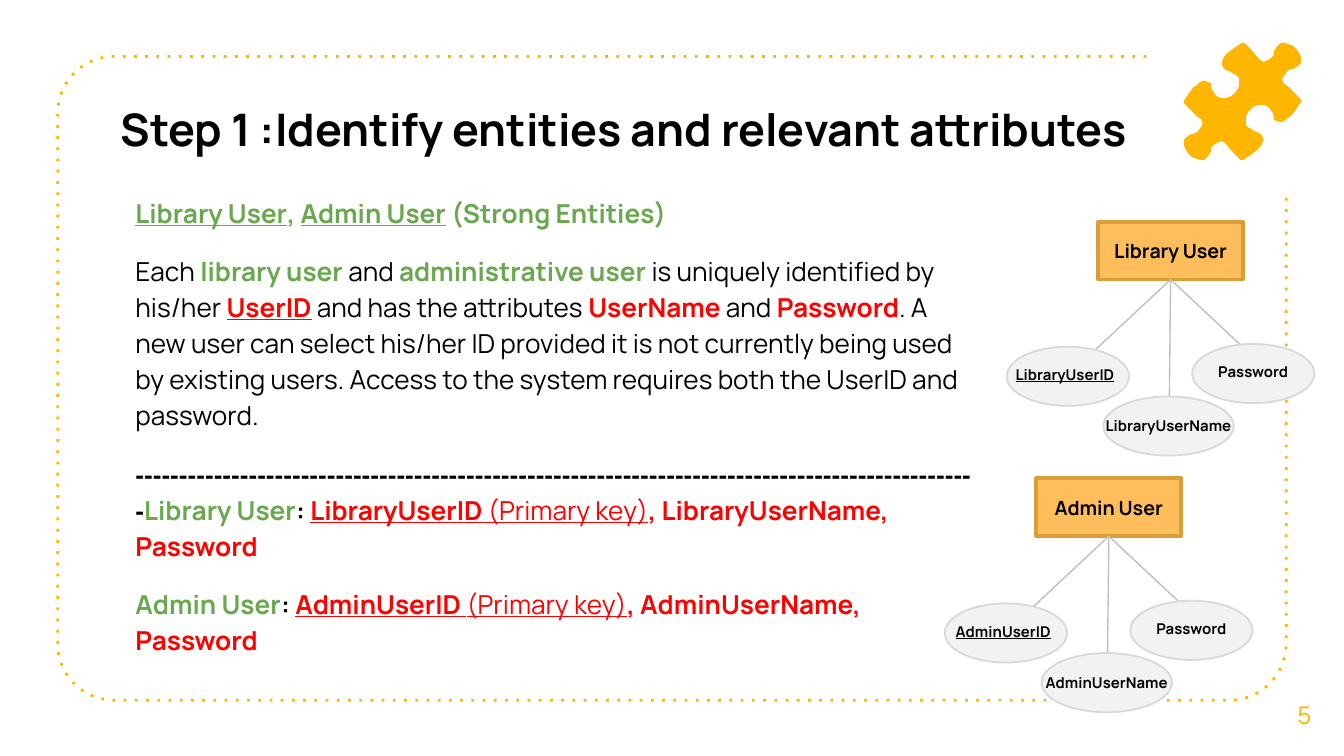
import math

from lxml import etree
from pptx import Presentation
from pptx import util as u
from pptx.dml.color import RGBColor
from pptx.enum import dml, shapes, text
from pptx.oxml.ns import qn

SLIDE_WIDTH = 10
SLIDE_HEIGHT = SLIDE_WIDTH * 9 / 16
FONT = "Manrope"
AMBER, GREEN, RED, BLACK = "FFB600", "6AA84F", "FF0000", "000000"

# Content: runs are (text, format)
TITLE = "Step 1 :Identify entities and relevant attributes"
PLAIN = {}
STRONG = {"bold": True}
ENTITY = {"color": GREEN, "bold": True}
ENTITY_LINK = {**ENTITY, "underline": True}
ATTRIBUTE = {"color": RED, "bold": True}
KEY = {**ATTRIBUTE, "underline": True}
KEY_NOTE = {"color": RED, "underline": True}
BODY = [
    [("Library User", ENTITY_LINK), (", ", ENTITY), ("Admin User", ENTITY_LINK),
     (" (Strong Entities)", ENTITY)],
    [("Each ", PLAIN), ("library user ", ENTITY), ("and ", PLAIN),
     ("administrative user", ENTITY),
     (" is uniquely identified by his/her ", PLAIN), ("UserID", KEY),
     (" and has the attributes ", PLAIN), ("UserName", ATTRIBUTE),
     (" and ", PLAIN), ("Password", ATTRIBUTE),
     (". A new user can select his/her ID provided it is not currently being used "
      "by existing users. Access to the system requires both the UserID and password.",
      PLAIN)],
    [("-" * 97, {"bold": True, "font": "Arial"}), ("Library User", ENTITY),
     (": ", STRONG), ("LibraryUserID ", KEY), ("(Primary key)", KEY_NOTE),
     (", LibraryUserName, Password", ATTRIBUTE)],
    [("Admin User", ENTITY), (": ", STRONG), ("AdminUserID ", KEY),
     ("(Primary key)", KEY_NOTE), (", AdminUserName, Password", ATTRIBUTE)],
]

# Entity diagrams: left, top, name, attributes (the first is the key)
ENTITIES = [
    (8.17, 1.65, "Library User", ["LibraryUserID", "LibraryUserName", "Password"]),
    (7.71, 3.56, "Admin User", ["AdminUserID", "AdminUserName", "Password"]),
]
# Relative to the entity: ellipse left, top, width; line end x, y; label left, top
ATTRIBUTE_SLOTS = [
    (-0.68, 0.93, 0.91, -0.06, 0.99, -1.23, 1.02),
    (0.04, 1.30, 0.97, 0.53, 1.40, -0.46, 1.40),
    (0.70, 0.91, 0.91, 1.15, 1.00, 0.17, 1.00),
]
ENTITY_SIZE = (1.08, 0.43)
ELLIPSE_HEIGHT = 0.44
LABEL_SIZE = (1.97, 0.24)

# Half of the puzzle piece; the other half is this one turned by 180 degrees
PUZZLE_BOX = (8.81, 0.32, 9.68, 1.19)
PUZZLE_HALF = [
    (9.24, 0.32), (9.21, 0.34), (9.18, 0.36), (9.14, 0.39), (9.11, 0.42),
    (9.10, 0.44), (9.09, 0.47), (9.10, 0.50), (9.12, 0.52), (9.15, 0.53),
    (9.18, 0.55), (9.20, 0.56), (9.22, 0.58), (9.22, 0.61), (9.22, 0.64),
    (9.20, 0.68), (9.17, 0.71), (9.15, 0.72), (9.12, 0.73), (9.09, 0.73),
    (9.06, 0.72), (9.04, 0.70), (9.02, 0.67), (9.01, 0.64), (9.01, 0.62),
    (8.99, 0.61), (8.96, 0.60), (8.93, 0.61), (8.91, 0.63), (8.88, 0.65),
    (8.85, 0.69), (8.83, 0.72), (8.81, 0.75), (8.81, 0.77), (8.83, 0.79),
    (8.86, 0.82), (8.91, 0.87), (8.94, 0.89), (8.95, 0.92), (8.94, 0.94),
    (8.92, 0.97), (8.90, 0.99), (8.86, 1.00), (8.83, 1.02), (8.81, 1.04),
    (8.81, 1.08), (8.82, 1.11), (8.84, 1.14), (8.87, 1.17), (8.90, 1.18),
    (8.93, 1.19), (8.96, 1.19), (8.99, 1.16), (9.01, 1.13), (9.01, 1.10),
    (9.03, 1.08), (9.06, 1.06), (9.09, 1.05), (9.11, 1.06), (9.13, 1.08),
    (9.18, 1.14), (9.21, 1.17), (9.23, 1.19),
]


def rgb(color):
    return RGBColor.from_string(color)


def style_shape(shape, fill=None, line=None, width=1):
    shape.shadow.inherit = False
    if fill:
        shape.fill.solid()
        shape.fill.fore_color.rgb = rgb(fill)
    else:
        shape.fill.background()
    if line:
        shape.line.color.rgb = rgb(line)
        shape.line.width = u.Pt(width)
    else:
        shape.line.fill.background()
    return shape


def write_text(shape, paragraphs, size, align=text.PP_ALIGN.LEFT, middle=False,
               inset=0.05, spacing=None, before=None):
    frame = shape.text_frame
    frame.word_wrap = True
    frame.margin_left = frame.margin_right = u.Inches(0.1)
    frame.margin_top = frame.margin_bottom = u.Inches(inset)
    frame.vertical_anchor = text.MSO_ANCHOR.MIDDLE if middle else text.MSO_ANCHOR.TOP
    for index, runs in enumerate(paragraphs):
        paragraph = frame.add_paragraph() if index else frame.paragraphs[0]
        paragraph.alignment = align
        if spacing:
            paragraph.line_spacing = spacing
        if before:
            paragraph.space_before = u.Pt(before)
        for words, style in runs:
            run = paragraph.add_run()
            run.text = words
            run.font.name = style.get("font", FONT)
            run.font.size = u.Pt(size)
            run.font.bold = style.get("bold", False)
            run.font.underline = style.get("underline", False)
            run.font.color.rgb = rgb(style.get("color", BLACK))


def add_text(slide, box, paragraphs, size, **options):
    shape = slide.shapes.add_textbox(*map(u.Inches, box))
    write_text(shape, paragraphs, size, **options)


def add_outline(slide, points, close):
    points = [(u.Inches(x), u.Inches(y)) for x, y in points]
    builder = slide.shapes.build_freeform(*points[0])
    builder.add_line_segments(points[1:], close=close)
    return builder.convert_to_shape()


def add_border(slide):
    radius, steps = 0.42, 15
    points = [(8.53, 0.42)]
    for x, y, start in [(0.85, 0.84, 270), (0.85, 4.79, 180), (9.15, 4.79, 90)]:
        for step in range(steps + 1):
            angle = math.radians(start - 90 * step / steps)
            points.append((x + radius * math.cos(angle), y + radius * math.sin(angle)))
    points.append((9.57, 1.46))
    border = style_shape(add_outline(slide, points, False), line=AMBER, width=1.5)
    border.line.dash_style = dml.MSO_LINE.ROUND_DOT
    next(border.element.iter(qn("a:prstDash"))).set("val", "dot")


def add_puzzle(slide):
    left, top, right, bottom = PUZZLE_BOX
    turned = [(left + right - x, top + bottom - y) for x, y in PUZZLE_HALF]
    style_shape(add_outline(slide, PUZZLE_HALF + turned, True), fill=AMBER)


def add_entity(slide, left, top, name, attributes):
    center = text.PP_ALIGN.CENTER
    entity = slide.shapes.add_shape(
        shapes.MSO_SHAPE.RECTANGLE, *map(u.Inches, (left, top, *ENTITY_SIZE)))
    style_shape(entity, "FFBD5B", "D89F39", 2)
    write_text(entity, [[(name, STRONG)]], 10.5, align=center, middle=True)
    # Lines go first so that the ellipses cover their ends
    for _, _, _, end_x, end_y, _, _ in ATTRIBUTE_SLOTS:
        line = slide.shapes.add_connector(
            shapes.MSO_CONNECTOR.STRAIGHT, 0, 0,
            u.Inches(left + end_x), u.Inches(top + end_y))
        line.begin_connect(entity, 2)
        line.line.color.rgb = rgb("BFBFBF")
        line.line.width = u.Pt(0.75)
        etree.SubElement(line.element.spPr, qn("a:effectLst"))
    for index, (attribute, slot) in enumerate(zip(attributes, ATTRIBUTE_SLOTS)):
        x, y, width, _, _, label_x, label_y = slot
        box = (left + x, top + y, width, ELLIPSE_HEIGHT)
        ellipse = slide.shapes.add_shape(shapes.MSO_SHAPE.OVAL, *map(u.Inches, box))
        style_shape(ellipse, "F2F2F2", "D9D9D9", 1)
        style = {"bold": True, "underline": index == 0}
        add_text(slide, (left + label_x, top + label_y, *LABEL_SIZE),
                 [[(attribute, style)]], 8, align=center)


def main():
    presentation = Presentation()
    presentation.slide_width = u.Inches(SLIDE_WIDTH)
    presentation.slide_height = u.Inches(SLIDE_HEIGHT)
    slide = presentation.slides.add_slide(presentation.slide_layouts[6])

    # Frame, page number and puzzle piece
    add_border(slide)
    add_text(slide, (9.41, 5.02, 0.59, 0.6), [[("5", {"color": AMBER})]], 13,
             align=text.PP_ALIGN.CENTER, middle=True, inset=0.1)
    add_puzzle(slide)

    # Body and title
    add_text(slide, (0.91, 1.55, 6.44, 3.21), BODY, 14, middle=True, inset=0.1,
             spacing=1.15, before=12)
    add_text(slide, (0.8, 0.66, 7.82, 0.94), [[(TITLE, STRONG)]], 24, inset=0.1)

    # Diagrams
    for entity in ENTITIES:
        add_entity(slide, *entity)
    presentation.save("out.pptx")


if __name__ == "__main__":
    main()
